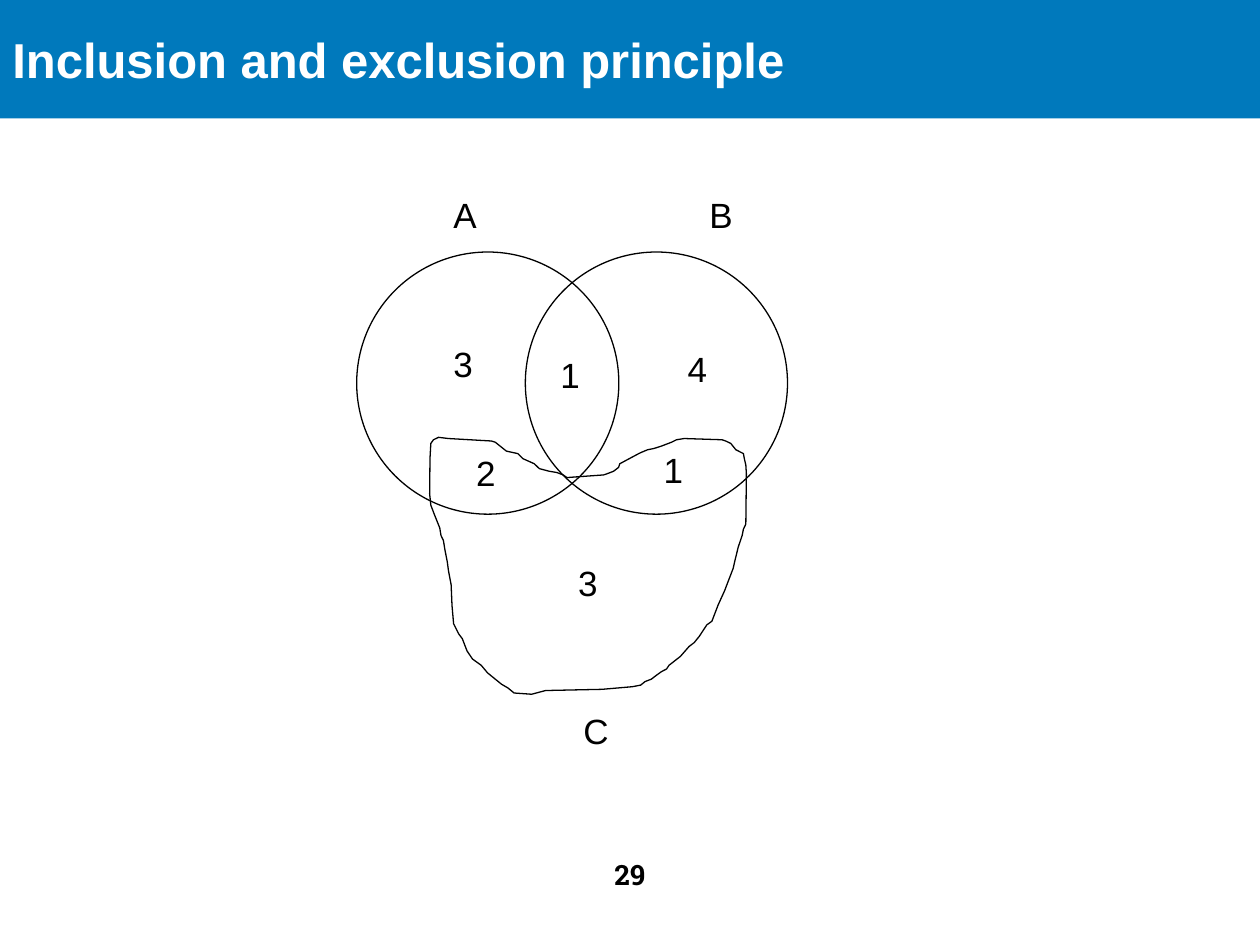
from dataclasses import dataclass

from pptx import Presentation
from pptx.dml.color import RGBColor
from pptx.enum.shapes import MSO_SHAPE
from pptx.enum.text import MSO_ANCHOR, MSO_AUTO_SIZE, PP_ALIGN
from pptx.shapes.autoshape import Shape
from pptx.slide import Slide
from pptx.util import Pt

BLACK, WHITE, BLUE = "000000", "FFFFFF", "0079BC"
HEAD = {"name": "Arial", "size": Pt(28), "bold": True}
MARK = {"name": "Arial", "size": Pt(20)}
FOOT = {"name": "Roboto Slab", "size": Pt(16), "bold": True}


@dataclass
class Label:
    text: str
    left: float
    top: float
    width: float = 25.9


LABELS = [
    Label("A", 252, 107.3, 28.1),
    Label("B", 398.2, 107.3, 28.1),
    Label("C", 326.2, 401.8, 29.5),
    Label("2", 265, 254.2),
    Label("1", 372.2, 252.7),
    Label("1", 313.2, 198.7),
    Label("3", 252, 192.2),
    Label("4", 385.9, 195.1),
    Label("3", 323.3, 317.5),
]

SET_C = [
    (246.2, 253.4), (247.7, 251.3), (250.6, 249.9), (256.3, 250.6),
    (280.8, 252), (283, 252.7), (289.4, 257.8), (295.9, 259.2),
    (298.8, 262.1), (305.3, 265), (308.2, 267.8), (313.9, 269.3),
    (318.2, 270), (321.8, 271.4), (324, 272.9), (344.9, 271.4),
    (347, 270.7), (350.6, 269.3), (353.5, 267.1), (354.2, 265),
    (365, 259.2), (366.5, 258.5), (370.1, 257), (373.7, 256.3),
    (375.8, 255.6), (378, 254.9), (383.8, 252.7), (386.6, 251.3),
    (391, 250.6), (412.6, 251.3), (414.7, 252), (417.6, 253.4),
    (420.5, 257), (424.8, 259.2), (425.5, 262.8), (426.2, 265.7),
    (426.5, 270.7), (426.2, 299.5), (424.8, 302.4), (424.1, 306),
    (421.9, 312.5), (419.8, 321.1), (419, 324.7), (414, 337.7),
    (410.4, 345.6), (406.8, 355), (403.9, 357.1), (399.6, 363.6),
    (396.7, 367.2), (393.8, 369.4), (388.8, 375.1), (382.3, 380.2),
    (380.9, 382.3), (378, 383.8), (375.1, 385.9), (372.2, 388.1),
    (368.6, 389.5), (366.1, 391.5), (361.4, 392.4), (344, 393.9),
    (311.8, 394.6), (303.8, 396.7), (293.8, 396), (290.2, 393.1),
    (286.6, 391), (278.6, 384.5), (275, 380.2), (270, 376.6),
    (266.9, 372), (264.2, 365), (262.1, 362.2), (259.2, 356.4),
    (258.3, 346), (257.8, 334.1), (256.3, 326.2), (255.6, 321.1),
    (254.2, 313.9), (253.4, 308.9), (252, 306), (251.3, 301.7),
    (248.4, 294.5), (246.2, 288.7), (245.5, 282.2), (245.7, 262),
]


def tint(code: str) -> RGBColor:
    return RGBColor.from_string(code)


def write(shape: Shape, text: str, style: dict, code: str = BLACK) -> None:
    line = shape.text_frame.paragraphs[0]
    line.text = text
    line.alignment = PP_ALIGN.LEFT
    for key, value in style.items():
        setattr(line.font, key, value)
    line.font.color.rgb = tint(code)


def add_title(slide: Slide, text: str) -> None:
    bar = slide.shapes.add_shape(MSO_SHAPE.RECTANGLE, 0, 0, Pt(720), Pt(67.7))
    bar.shadow.inherit = False
    bar.fill.solid()
    bar.fill.fore_color.rgb = tint(BLUE)
    bar.line.fill.background()
    bar.text_frame.word_wrap = True
    bar.text_frame.vertical_anchor = MSO_ANCHOR.MIDDLE
    write(bar, text, HEAD, WHITE)


def add_footer(slide: Slide, text: str) -> None:
    box = slide.shapes.add_textbox(0, Pt(486.7), Pt(720), Pt(28.1))
    box.text_frame.word_wrap = True
    write(box, text, FOOT)
    box.text_frame.paragraphs[0].alignment = PP_ALIGN.CENTER


def outline(shape: Shape) -> None:
    shape.shadow.inherit = False
    shape.fill.background()
    shape.line.color.rgb = tint(BLACK)
    shape.line.width = Pt(0.75)


def add_ring(slide: Slide, left: float) -> None:
    size = Pt(149.8)
    outline(slide.shapes.add_shape(MSO_SHAPE.OVAL, Pt(left), Pt(144), size, size))


def add_blob(slide: Slide, points: list[tuple[float, float]]) -> None:
    """Draw a closed outline on a grid of tenths of a point."""
    grid = [(round(x * 10), round(y * 10)) for x, y in points]
    pen = slide.shapes.build_freeform(*grid[0], scale=Pt(0.1))
    pen.add_line_segments(grid[1:], close=True)
    outline(pen.convert_to_shape())


def add_label(slide: Slide, label: Label) -> None:
    box = slide.shapes.add_textbox(
        Pt(label.left), Pt(label.top), Pt(label.width), Pt(31.7))
    box.text_frame.word_wrap = False
    box.text_frame.auto_size = MSO_AUTO_SIZE.SHAPE_TO_FIT_TEXT
    write(box, label.text, MARK)


def main() -> None:
    deck = Presentation()
    deck.slide_width, deck.slide_height = Pt(720), Pt(540)
    slide = deck.slides.add_slide(deck.slide_layouts[6])
    add_title(slide, "Inclusion and exclusion principle")
    add_footer(slide, "29")
    for left in (203.8, 300.2):
        add_ring(slide, left)
    add_blob(slide, SET_C)
    for label in LABELS:
        add_label(slide, label)
    deck.save("out.pptx")


if __name__ == "__main__":
    main()
